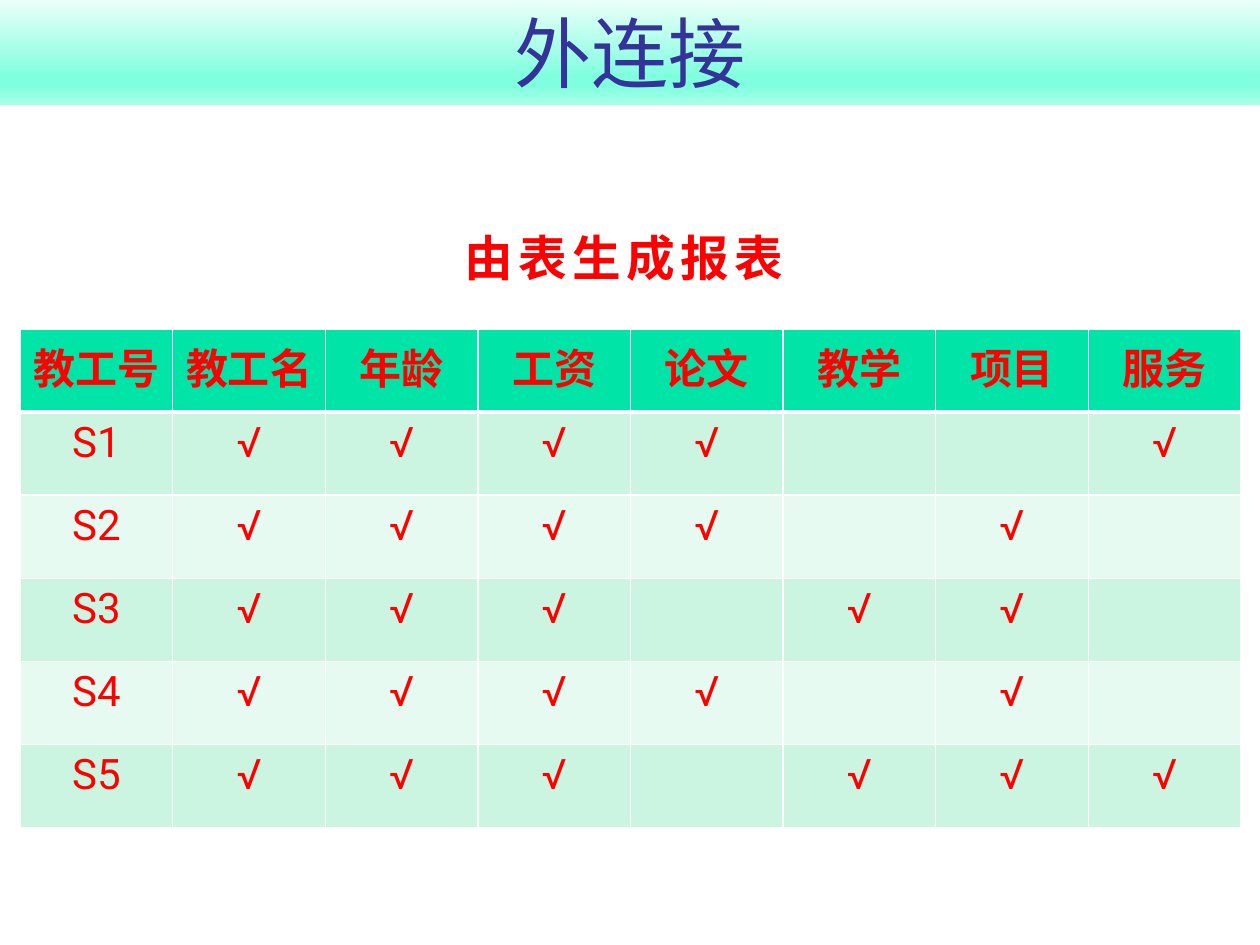
from pptx import Presentation
from pptx.dml.color import RGBColor
from pptx.enum.text import MSO_ANCHOR, MSO_AUTO_SIZE, PP_ALIGN
from pptx.oxml import parse_xml
from pptx.oxml.ns import nsdecls
from pptx.util import Pt

TITLE = "外连接"
LABEL = "由表生成报表"
HEADS = ["教工号", "教工名", "年龄", "工资", "论文", "教学", "项目", "服务"]
TICKS = {
    "S1": ["教工名", "年龄", "工资", "论文", "服务"],
    "S2": ["教工名", "年龄", "工资", "论文", "项目"],
    "S3": ["教工名", "年龄", "工资", "教学", "项目"],
    "S4": ["教工名", "年龄", "工资", "论文", "项目"],
    "S5": ["教工名", "年龄", "工资", "教学", "项目", "服务"],
}
STOPS = [(0, "F1FFFB"), (74, "80FFDE"), (83, "80FFDE"), (100, "AAFFE9")]
HEAD_FILL, BANDS = "00E4A8", ["CCF5E1", "E7FAF1"]
RED, NAVY, WHITE, PALE = "FF0000", "333399", "FFFFFF", "F4FCF8"
LATIN, CJK = "Roboto", "Noto Sans CJK JP"
COL_W, ROW_H = 87.2, 47.5


def rgb(code):
    return RGBColor.from_string(code)


def node(tag, attrs="", inner=""):
    return parse_xml(f"<a:{tag} {nsdecls('a')} {attrs}>{inner}</a:{tag}>")


def solid(code):
    return f'<a:solidFill><a:srgbClr val="{code}"/></a:solidFill>'


def write(frame, text, size, color, font=LATIN, bold=False):
    """Set one centred line and return its run."""
    frame.text = text
    para = frame.paragraphs[0]
    para.alignment = PP_ALIGN.CENTER
    run = para.runs[0]
    run.font.size, run.font.bold, run.font.name = Pt(size), bold, font
    run.font.color.rgb = rgb(color)
    run.font._element.find("{*}latin").addnext(node("ea", f'typeface="{CJK}"'))
    return run


def add_edges(cell, top, bottom):
    props = cell._tc.get_or_add_tcPr()
    for side, width in zip("LRTB", (1, 1, top, bottom)):
        props.append(node(f"ln{side}", f'w="{Pt(width)}"', solid(WHITE)))


prs = Presentation()
prs.slide_width, prs.slide_height = Pt(720), Pt(540)
slide = prs.slides.add_slide(prs.slide_layouts[5])

# Title band
title = slide.shapes.title
title.left, title.top, title.width, title.height = Pt(0), Pt(-2.2), Pt(720), Pt(61.9)
title.text_frame.vertical_anchor = MSO_ANCHOR.BOTTOM
title.text_frame.auto_size = MSO_AUTO_SIZE.NONE
write(title.text_frame, TITLE, 44, NAVY)
stops = "".join(
    f'<a:gs pos="{pos * 1000}"><a:srgbClr val="{code}"/></a:gs>' for pos, code in STOPS
)
title._element.spPr.append(
    node("gradFill", "", f'<a:gsLst>{stops}</a:gsLst><a:lin ang="5400000" scaled="0"/>')
)

# Report table
rows = [HEADS] + [
    [key] + ["√" if head in ticks else "" for head in HEADS[1:]]
    for key, ticks in TICKS.items()
]
table = slide.shapes.add_table(
    len(rows), len(HEADS), Pt(11.5), Pt(188),
    Pt(COL_W * len(HEADS)), Pt(ROW_H * len(rows)),
).table
for col in table.columns:
    col.width = Pt(COL_W)
for r, row in enumerate(rows):
    table.rows[r].height = Pt(ROW_H)
    for c, text in enumerate(row):
        cell = table.cell(r, c)
        add_edges(cell, 3 if r == 1 else 1, 3 if r == 0 else 1)
        cell.fill.solid()
        cell.fill.fore_color.rgb = rgb(BANDS[(r - 1) % 2] if r else HEAD_FILL)
        if text:
            write(cell.text_frame, text, 24, RED, bold=r == 0)

# Table label, set as spaced subscript
label = slide.shapes.add_textbox(Pt(195), Pt(94.3), Pt(323.3), Pt(65.5))
label.text_frame.word_wrap = False
label.text_frame.auto_size = MSO_AUTO_SIZE.SHAPE_TO_FIT_TEXT
props = write(label.text_frame, LABEL, 48, RED, CJK, True).font._element
props.set("spc", "300")
props.set("baseline", "-25000")
props.insert(0, node("ln", f'w="{Pt(0.9)}"', solid(PALE)))

prs.save("out.pptx")
